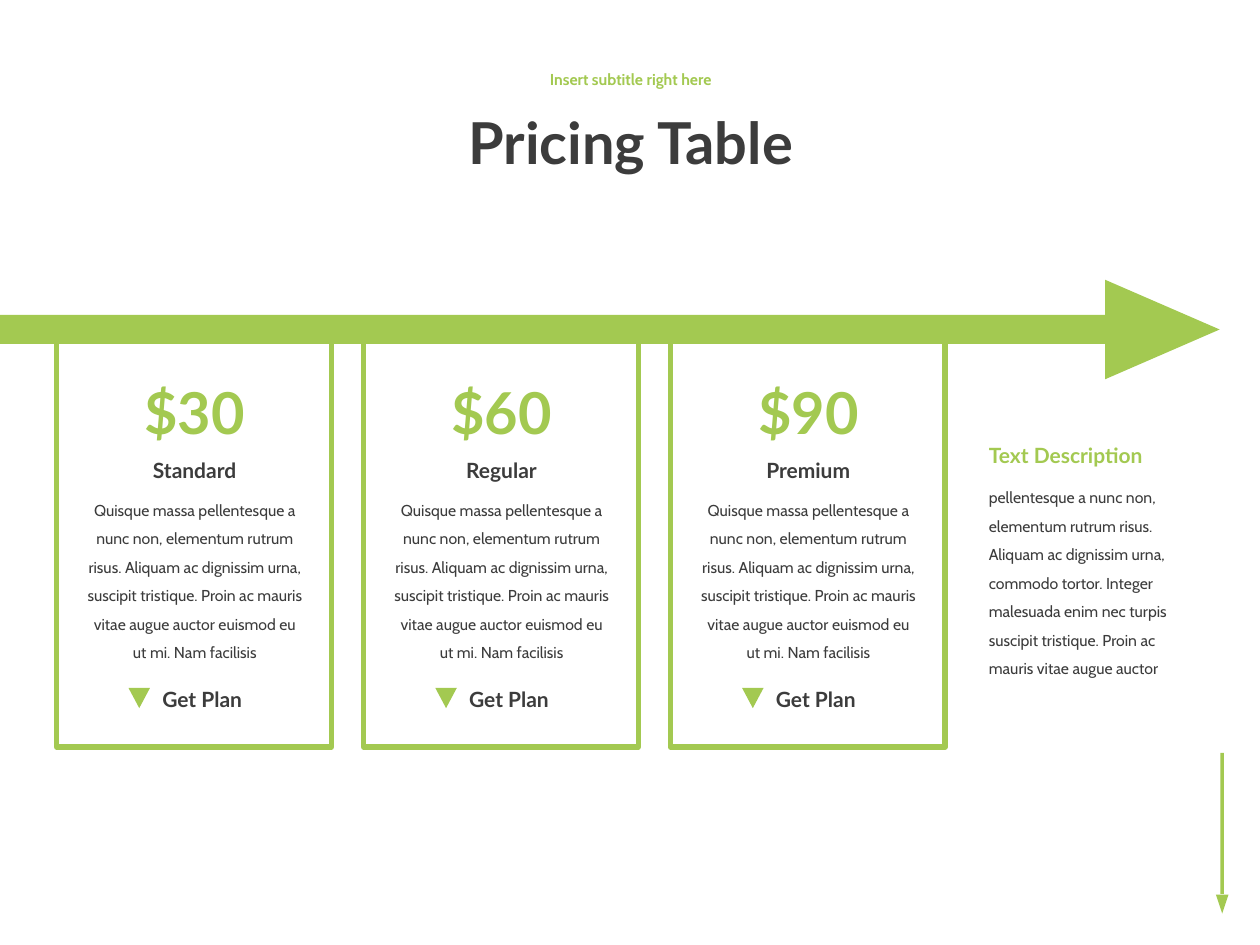
from dataclasses import dataclass
from typing import Optional

from pptx import Presentation
from pptx.dml.color import RGBColor
from pptx.enum.shapes import MSO_SHAPE
from pptx.enum.text import MSO_ANCHOR, MSO_AUTO_SIZE, PP_ALIGN
from pptx.util import Inches, Pt

SLIDE_WIDTH, SLIDE_HEIGHT = Inches(10), Inches(7.5)
GRID_COLUMNS, GRID_ROWS = 100, 75
GREEN, DARK, WHITE = "A3C951", "3C3C3C", "FFFFFF"

FIRST_CARD, CARD_PITCH = 4.5, 24.35
CARD_TEXT = (
    "Quisque massa pellentesque a nunc non, elementum rutrum risus. "
    "Aliquam ac dignissim urna, suscipit tristique. Proin ac mauris "
    "vitae augue auctor euismod eu ut mi. Nam facilisis"
)
DESCRIPTION = (
    "pellentesque a nunc non, elementum rutrum risus. Aliquam ac dignissim "
    "urna, commodo tortor. Integer malesuada enim nec turpis suscipit "
    "tristique. Proin ac mauris vitae augue auctor"
)


@dataclass(frozen=True)
class Box:
    """A place on the slide, in grid columns and rows."""
    column: float
    row: float
    columns: float
    rows: float

    def shifted(self, columns: float) -> "Box":
        return Box(self.column + columns, self.row, self.columns, self.rows)

    def lengths(self) -> tuple[int, int, int, int]:
        cell_width, cell_height = SLIDE_WIDTH / GRID_COLUMNS, SLIDE_HEIGHT / GRID_ROWS
        return (round(self.column * cell_width), round(self.row * cell_height),
                round(self.columns * cell_width), round(self.rows * cell_height))


@dataclass(frozen=True)
class TextStyle:
    size: float
    font: str = "Lato"
    color: str = DARK
    bold: bool = True
    alignment: PP_ALIGN = PP_ALIGN.CENTER
    line_spacing: float = 1.0


@dataclass(frozen=True)
class Plan:
    price: str
    name: str


TITLE = TextStyle(33, line_spacing=0.9)
SUBTITLE = TextStyle(9, "Cabin", GREEN, line_spacing=0.9)
PRICE = TextStyle(33, color=GREEN)
PLAN_NAME = TextStyle(12)
CARD_BODY = TextStyle(9, "Cabin", bold=False, line_spacing=1.5)
BUTTON = TextStyle(12, alignment=PP_ALIGN.LEFT)
SIDE_HEADING = TextStyle(12, color=GREEN, alignment=PP_ALIGN.LEFT)
SIDE_BODY = TextStyle(9, "Cabin", bold=False, alignment=PP_ALIGN.LEFT, line_spacing=1.5)

PLANS = [Plan("$30", "Standard"), Plan("$60", "Regular"), Plan("$90", "Premium")]


def rgb(color: str) -> RGBColor:
    return RGBColor.from_string(color)


def write(shape, text: str, style: TextStyle) -> None:
    shape.text_frame.text = text
    paragraph = shape.text_frame.paragraphs[0]
    paragraph.alignment = style.alignment
    paragraph.line_spacing = style.line_spacing
    paragraph.space_before = Pt(0)
    paragraph.font.name = style.font
    paragraph.font.size = Pt(style.size)
    paragraph.font.bold = style.bold
    paragraph.font.color.rgb = rgb(style.color)


def fill_placeholder(shape, box: Box, text: str, style: TextStyle) -> None:
    shape.left, shape.top, shape.width, shape.height = box.lengths()
    write(shape, text, style)
    shape.text_frame.vertical_anchor = MSO_ANCHOR.MIDDLE
    shape.text_frame.auto_size = MSO_AUTO_SIZE.NONE


def add_text(slide, box: Box, text: str, style: TextStyle) -> None:
    shape = slide.shapes.add_textbox(*box.lengths())
    shape.text_frame.word_wrap = True
    shape.text_frame.auto_size = MSO_AUTO_SIZE.SHAPE_TO_FIT_TEXT
    write(shape, text, style)


def add_figure(slide, kind: MSO_SHAPE, box: Box, fill: str = GREEN,
               line: Optional[str] = None, rotation: float = 0) -> None:
    shape = slide.shapes.add_shape(kind, *box.lengths())
    shape.shadow.inherit = False
    shape.rotation = rotation
    shape.fill.solid()
    shape.fill.fore_color.rgb = rgb(fill)
    if line:
        shape.line.color.rgb = rgb(line)
        shape.line.width = Pt(3)
    else:
        shape.line.fill.background()


def add_plan(slide, plan: Plan, shift: float) -> None:
    add_text(slide, Box(4.5, 29.4, 12.9, 6.6).shifted(shift), plan.price, PRICE)
    add_text(slide, Box(3.9, 35.8, 14.1, 3).shifted(shift), plan.name, PLAN_NAME)
    add_text(slide, Box(1.4, 38.5, 19.1, 14.4).shifted(shift), CARD_TEXT, CARD_BODY)
    add_text(slide, Box(7.4, 54, 9.6, 3).shifted(shift), "Get Plan", BUTTON)
    add_figure(slide, MSO_SHAPE.ISOSCELES_TRIANGLE,
               Box(5.7, 54.6, 1.7, 1.6).shifted(shift), rotation=180)


def main() -> None:
    presentation = Presentation()
    presentation.slide_width, presentation.slide_height = SLIDE_WIDTH, SLIDE_HEIGHT
    slide = presentation.slides.add_slide(presentation.slide_layouts[0])
    title, subtitle = slide.placeholders
    fill_placeholder(title, Box(21.9, 6.4, 56.3, 10.3), "Pricing Table", TITLE)
    fill_placeholder(subtitle, Box(21.9, 4.5, 56.3, 3.8), "Insert subtitle right here", SUBTITLE)

    # Thin arrow in the lower right corner
    add_figure(slide, MSO_SHAPE.RECTANGLE, Box(96.85, 59.75, 0.3, 11.2))
    add_figure(slide, MSO_SHAPE.ISOSCELES_TRIANGLE, Box(96.5, 71, 1, 1.5), rotation=180)

    shifts = [FIRST_CARD + index * CARD_PITCH for index in range(len(PLANS))]
    for shift in shifts:
        add_figure(slide, MSO_SHAPE.RECTANGLE, Box(0, 25.9, 21.8, 33.4).shifted(shift),
                   WHITE, GREEN)

    # Wide arrow across the card tops
    add_figure(slide, MSO_SHAPE.RECTANGLE, Box(-2.1, 25, 89.9, 2.3))
    add_figure(slide, MSO_SHAPE.ISOSCELES_TRIANGLE, Box(88.3, 21.6, 7.9, 9.1), rotation=90)

    add_text(slide, Box(77.5, 37.5, 17.7, 16.7), DESCRIPTION, SIDE_BODY)
    add_text(slide, Box(77.5, 34.6, 17.7, 3), "Text Description", SIDE_HEADING)
    for plan, shift in zip(PLANS, shifts):
        add_plan(slide, plan, shift)

    presentation.save("out.pptx")


if __name__ == "__main__":
    main()
